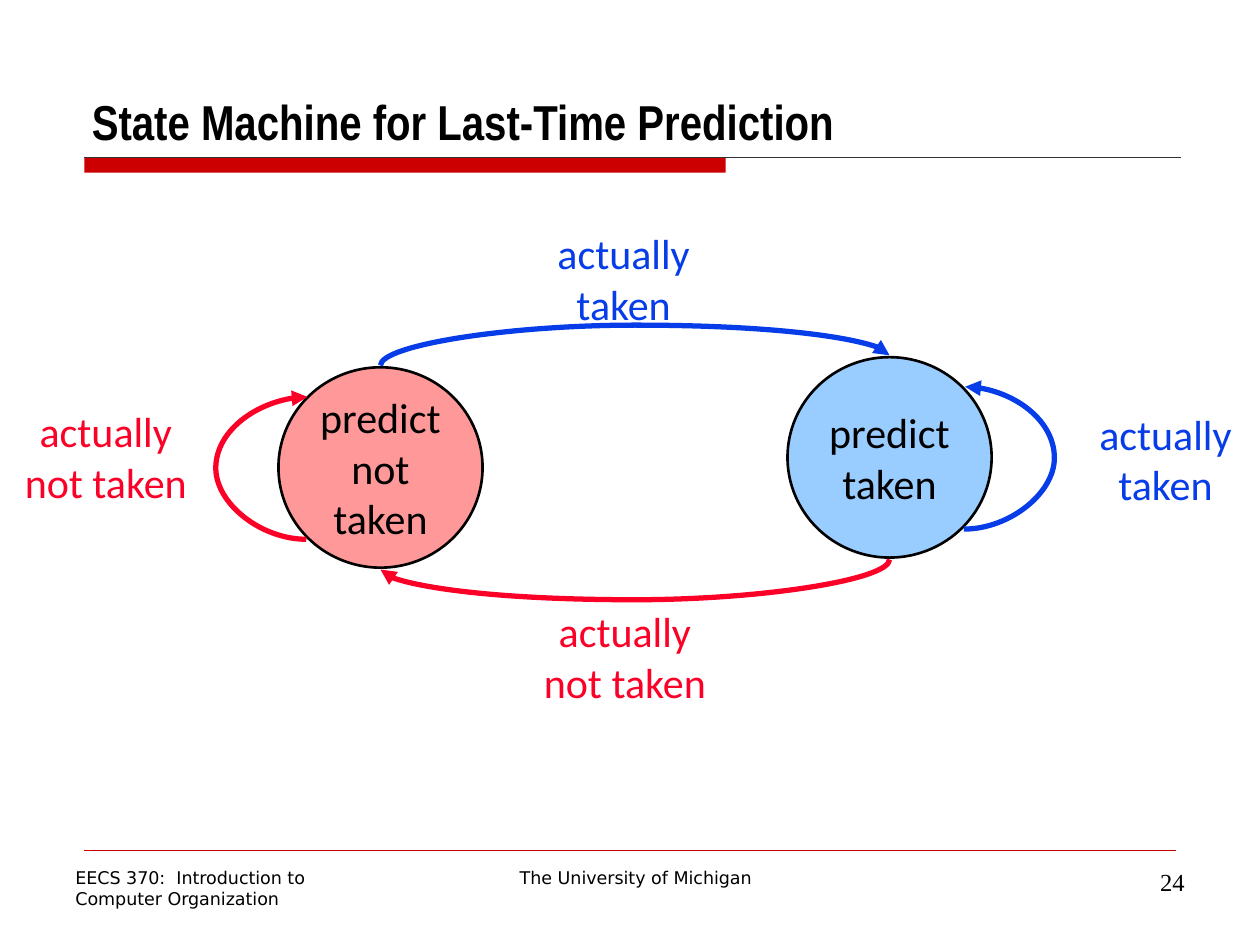
from dataclasses import dataclass

from lxml.etree import SubElement
from pptx import Presentation
from pptx.dml.color import RGBColor
from pptx.enum.shapes import MSO_CONNECTOR, MSO_SHAPE
from pptx.enum.text import MSO_ANCHOR, PP_ALIGN
from pptx.oxml.ns import qn
from pptx.util import Inches, Pt


@dataclass(frozen=True)
class Theme:
    black: str = "000000"
    rule: str = "333333"
    accent: str = "CC0000"
    taken: str = "063DE8"
    not_taken: str = "FC0128"
    taken_fill: str = "99CCFF"
    not_taken_fill: str = "FF9999"
    title_font: str = "Arial Narrow"
    body_font: str = "Calibri"
    footer_font: str = "DejaVu Sans"
    number_font: str = "Times New Roman"
    title_size: float = 28
    body_size: float = 24
    footer_size: float = 10
    number_size: float = 14


THEME = Theme()
LEFT, CENTER, RIGHT = PP_ALIGN.LEFT, PP_ALIGN.CENTER, PP_ALIGN.RIGHT

# Content
TITLE = "State Machine for Last-Time Prediction"
FOOTERS = [  # lines, box, alignment, font, size
    (["The University of Michigan"], (3.17, 6.83, 3.75, 0.27), CENTER,
     THEME.footer_font, THEME.footer_size),
    (["EECS 370:  Introduction to", "Computer Organization"],
     (0.5, 6.83, 2.75, 0.44), LEFT, THEME.footer_font, THEME.footer_size),
    (["24"], (7.17, 6.83, 2.33, 0.52), RIGHT,
     THEME.number_font, THEME.number_size),
]
STATE_SIZE = (1.62, 1.59)
STATES = [  # lines, center, fill
    (["predict", "taken"], (7.06, 3.63), THEME.taken_fill),
    (["predict", "not", "taken"], (3.02, 3.71), THEME.not_taken_fill),
]
LABEL_HEIGHT = 0.91
TRANSITIONS = [
    # lines, color, label (left, top, width), curve frame before turning,
    # bulge, turn in degrees, flip
    (["actually", "not taken"], THEME.not_taken, (4.21, 4.76, 1.5),
     (5, 2.46, 0.08, 4.04), 0.32, 90, None),
    (["actually", "taken"], THEME.taken, (4.32, 1.76, 1.26),
     (5, 0.84, 0.08, 4.04), 0.32, 270, None),
    (["actually", "taken"], THEME.taken, (8.62, 3.19, 1.26),
     (7.65, 3.07, 0.01, 1.13), 0.73, 0, "flipV"),
    (["actually", "not taken"], THEME.not_taken, (0.09, 3.17, 1.5),
     (2.43, 3.15, 0.01, 1.13), -0.73, 180, "flipH"),
]


def color(value):
    return RGBColor.from_string(value)


def write(shape, lines, font, size, text_color=THEME.black, alignment=CENTER,
          anchor=MSO_ANCHOR.TOP, wrap=True, bold=False):
    frame = shape.text_frame
    frame.text = "\n".join(lines)
    frame.word_wrap = wrap
    frame.vertical_anchor = anchor
    for paragraph in frame.paragraphs:
        paragraph.alignment = alignment
        for run in paragraph.runs:
            run.font.name = font
            run.font.size = Pt(size)
            run.font.bold = bold
            run.font.color.rgb = color(text_color)


def add_text(slide, box, lines, font, size, **options):
    shape = slide.shapes.add_textbox(*map(Inches, box))
    write(shape, lines, font, size, **options)


def add_line(slide, kind, begin, end, line_color, width):
    line = slide.shapes.add_connector(kind, *map(Inches, begin + end))
    line.line.color.rgb = color(line_color)
    line.line.width = Pt(width)
    SubElement(line._element.spPr, qn("a:effectLst"))
    return line


def add_curve(slide, frame, bulge, turn, flip, line_color):
    left, top, width, height = frame
    curve = add_line(slide, MSO_CONNECTOR.CURVE, (left, top),
                     (left + width, top + height), line_color, 3)
    properties = curve._element.spPr
    transform = properties.find(qn("a:xfrm"))
    transform.set("rot", str(turn * 60000))
    if flip:
        transform.set(flip, "1")
    # The bend is a share of the frame width, in 1/100000
    adjustments = properties.find(qn("a:prstGeom")).find(qn("a:avLst"))
    SubElement(adjustments, qn("a:gd"), name="adj1",
               fmla=f"val {round(bulge / width * 100000)}")
    SubElement(properties.find(qn("a:ln")), qn("a:tailEnd"), type="triangle")


def add_state(slide, lines, center, fill):
    width, height = STATE_SIZE
    box = (center[0] - width / 2, center[1] - height / 2, width, height)
    state = slide.shapes.add_shape(MSO_SHAPE.OVAL, *map(Inches, box))
    state.shadow.inherit = False
    state.fill.solid()
    state.fill.fore_color.rgb = color(fill)
    state.line.color.rgb = color(THEME.black)
    state.line.width = Pt(1.5)
    write(state, lines, THEME.body_font, THEME.body_size,
          anchor=MSO_ANCHOR.MIDDLE, wrap=False)


def main():
    presentation = Presentation()
    presentation.slide_width, presentation.slide_height = Inches(10), Inches(7.5)
    slide = presentation.slides.add_slide(presentation.slide_layouts[6])

    # Title with its bar and rule
    bar = slide.shapes.add_shape(
        MSO_SHAPE.RECTANGLE, *map(Inches, (0.67, 1.25, 5.09, 0.12)))
    bar.shadow.inherit = False
    bar.fill.solid()
    bar.fill.fore_color.rgb = color(THEME.accent)
    bar.line.fill.background()
    add_line(slide, MSO_CONNECTOR.STRAIGHT, (0.67, 1.25), (9.37, 1.25),
             THEME.rule, 0.75)
    add_text(slide, (0.63, 0.33, 8.75, 0.91), [TITLE], THEME.title_font,
             THEME.title_size, alignment=LEFT, anchor=MSO_ANCHOR.BOTTOM,
             bold=True)

    # Footer
    add_line(slide, MSO_CONNECTOR.STRAIGHT, (0.67, 6.75), (9.33, 6.75),
             THEME.accent, 0.25)
    for lines, box, alignment, font, size in FOOTERS:
        add_text(slide, box, lines, font, size, alignment=alignment)

    # State machine
    for state in STATES:
        add_state(slide, *state)
    for lines, line_color, label, frame, bulge, turn, flip in TRANSITIONS:
        add_curve(slide, frame, bulge, turn, flip, line_color)
        add_text(slide, label + (LABEL_HEIGHT,), lines, THEME.body_font,
                 THEME.body_size, text_color=line_color, wrap=False)

    presentation.save("out.pptx")


if __name__ == "__main__":
    main()
